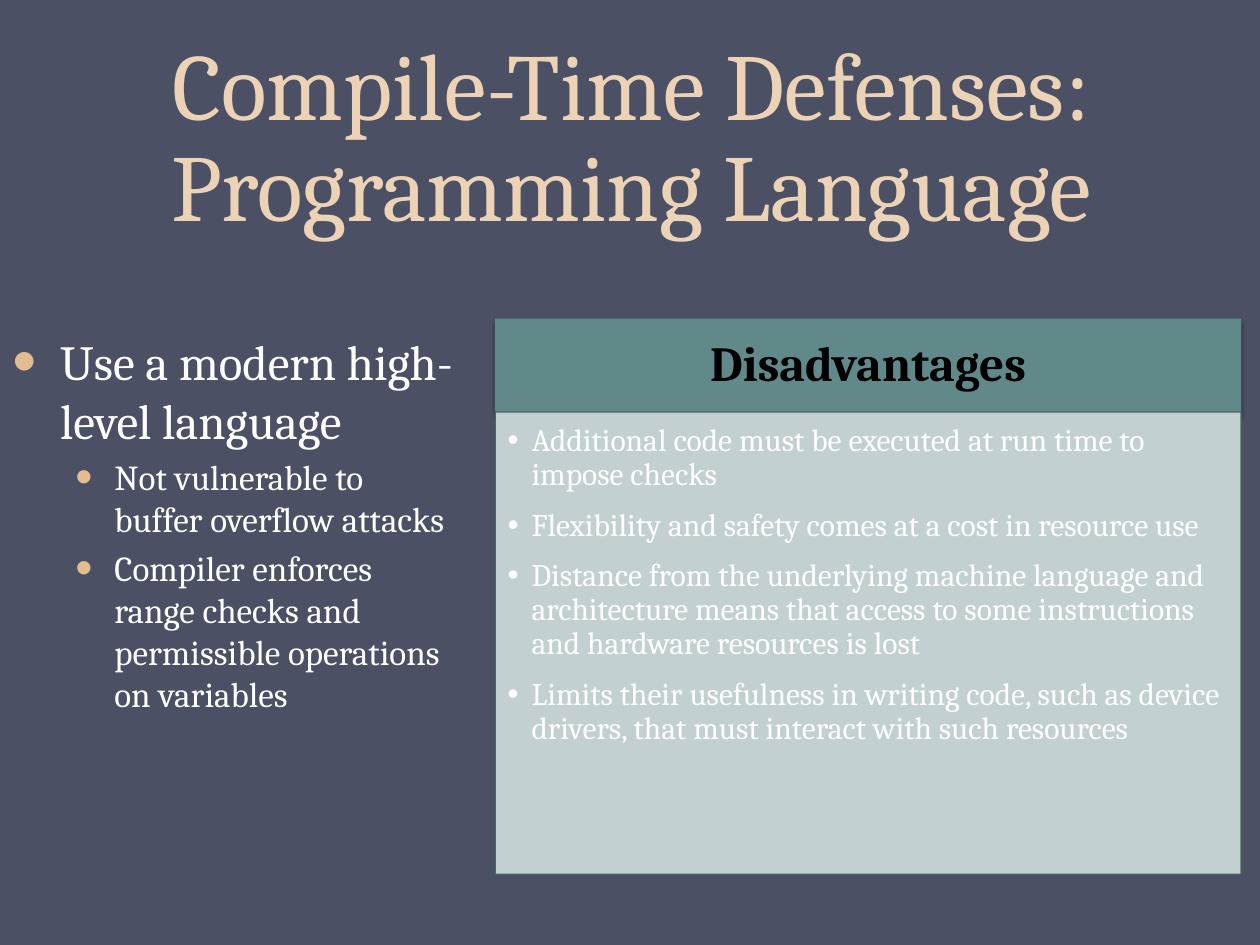
from dataclasses import dataclass

from lxml.etree import SubElement
from pptx import Presentation
from pptx.dml.color import RGBColor
from pptx.enum.shapes import MSO_SHAPE as SHAPE
from pptx.enum.text import MSO_ANCHOR as ANCHOR, PP_ALIGN as ALIGN
from pptx.oxml.ns import qn
from pptx.util import Inches, Pt


@dataclass(frozen=True)
class Theme:
    font: str = "Cambria"
    background: str = "4B5064"
    title: str = "EDD3B6"
    text: str = "FFFFFF"
    bullet: str = "E3BC92"
    header: str = "61898A"
    header_text: str = "000000"
    panel: str = "D1DEDF"
    panel_line: str = "415B5C"
    title_size: int = 54
    heading_size: int = 28
    detail_size: int = 20
    panel_size: int = 18


THEME = Theme()

TITLE = "Compile-Time Defenses:\vProgramming Language"
ADVICE = "Use a modern high-level language"
REASONS = [
    "Not vulnerable to buffer overflow attacks",
    "Compiler enforces range checks and permissible operations on variables",
]
DISADVANTAGES = [
    "Additional code must be executed at run time to impose checks",
    "Flexibility and safety comes at a cost in resource use",
    "Distance from the underlying machine language and architecture means "
    "that access to some instructions and hardware resources is lost",
    "Limits their usefulness in writing code, such as device drivers, "
    "that must interact with such resources",
]


def rgb(value):
    return RGBColor.from_string(value)


def set_attrs(obj, formats):
    for name, value in formats.items():
        setattr(obj, name, value)


def add_xml(parent, tag, **attrs):
    return SubElement(parent, qn(tag), {k: str(v) for k, v in attrs.items()})


def set_alpha(color_parent, percent):
    color = next(color_parent.iter(qn("a:srgbClr")))
    add_xml(color, "a:alpha", val=percent * 1000)


def setup_frame(sp, insets=(0.1, 0.05, 0.1, 0.05), anchor=ANCHOR.TOP):
    tf = sp.text_frame
    sides = ("margin_left", "margin_top", "margin_right", "margin_bottom")
    set_attrs(tf, {"word_wrap": True, "vertical_anchor": anchor,
                   **dict(zip(sides, map(Inches, insets)))})
    return tf


def add_text_box(s, box, **frame):
    return setup_frame(s.shapes.add_textbox(*map(Inches, box)), **frame)


def add_panel(s, box, fill):
    sp = s.shapes.add_shape(SHAPE.RECTANGLE, *map(Inches, box))
    sp.shadow.inherit = False
    sp.fill.solid()
    sp.fill.fore_color.rgb = rgb(fill)
    return sp


def add_shadow(sp):
    effects = sp._element.spPr.find(qn("a:effectLst"))
    shadow = add_xml(effects, "a:outerShdw", blurRad=Pt(3.1), dist=Pt(1.8),
                     dir=90 * 60000, rotWithShape=0)
    add_xml(shadow, "a:srgbClr", val="000000")
    set_alpha(shadow, 35)


def set_bullet(p, left, hang, color=None, size=None):
    pPr = p._p.get_or_add_pPr()
    pPr.set("marL", str(Inches(left)))
    pPr.set("indent", str(-Inches(hang)))
    if color:
        add_xml(add_xml(pPr, "a:buClr"), "a:srgbClr", val=color)
    if size:
        add_xml(pPr, "a:buSzPct", val=size * 1000)
    add_xml(pPr, "a:buFont", typeface="Arial")
    add_xml(pPr, "a:buChar", char="•")


def add_paragraph(tf, text, size, color=THEME.text, bold=False, bullet=None,
                  **formats):
    p = tf.paragraphs[0] if not tf.text else tf.add_paragraph()
    p.text = text
    if bullet:
        set_bullet(p, **bullet)
    set_attrs(p, formats)
    for r in p.runs:
        set_attrs(r.font, {"name": THEME.font, "size": Pt(size), "bold": bold})
        r.font.color.rgb = rgb(color)


def add_title(s):
    tf = add_text_box(s, (0.51, 0.21, 9, 1.75), anchor=ANCHOR.BOTTOM)
    add_paragraph(tf, TITLE, THEME.title_size, THEME.title,
                  alignment=ALIGN.CENTER, line_spacing=Pt(58))


def add_advice(s):
    tf = add_text_box(s, (0, 2.58, 3.74, 4.6))
    mark = {"color": THEME.bullet, "size": 140}
    add_paragraph(tf, ADVICE, THEME.heading_size,
                  bullet={"left": 0.38, "hang": 0.38, **mark})
    for reason in REASONS:
        add_paragraph(tf, reason, THEME.detail_size, level=1,
                      space_before=Pt(4),
                      bullet={"left": 0.81, "hang": 0.31, **mark})


def add_disadvantages(s):
    left, top, width, header_height, list_height = 3.93, 2.53, 5.92, 0.74, 3.67

    # Header bar
    header = add_panel(s, (left, top, width, header_height), THEME.header)
    header.line.fill.background()
    add_shadow(header)
    tf = setup_frame(header, (0.22, 0.12, 0.22, 0.12), ANCHOR.MIDDLE)
    add_paragraph(tf, "Disadvantages", THEME.heading_size, THEME.header_text,
                  bold=True, alignment=ALIGN.CENTER, line_spacing=0.9)

    # List panel
    panel = add_panel(s, (left, top + header_height, width, list_height),
                      THEME.panel)
    panel.line.width = Pt(0.75)
    panel.line.color.rgb = rgb(THEME.panel_line)
    spPr = panel._element.spPr
    for part in ("a:solidFill", "a:ln"):
        set_alpha(spPr.find(qn(part)), 90)
    tf = setup_frame(panel, (0.1, 0.1, 0.14, 0.16))
    for item in DISADVANTAGES:
        add_paragraph(tf, item, THEME.panel_size, level=1,
                      alignment=ALIGN.LEFT, line_spacing=0.9,
                      space_after=Pt(9.4),
                      bullet={"left": 0.19, "hang": 0.19})


def main():
    prs = Presentation()
    set_attrs(prs, {"slide_width": Inches(10), "slide_height": Inches(7.5)})
    s = prs.slides.add_slide(prs.slide_layouts[6])
    s.background.fill.solid()
    s.background.fill.fore_color.rgb = rgb(THEME.background)
    add_title(s)
    add_advice(s)
    add_disadvantages(s)
    prs.save("out.pptx")


if __name__ == "__main__":
    main()
